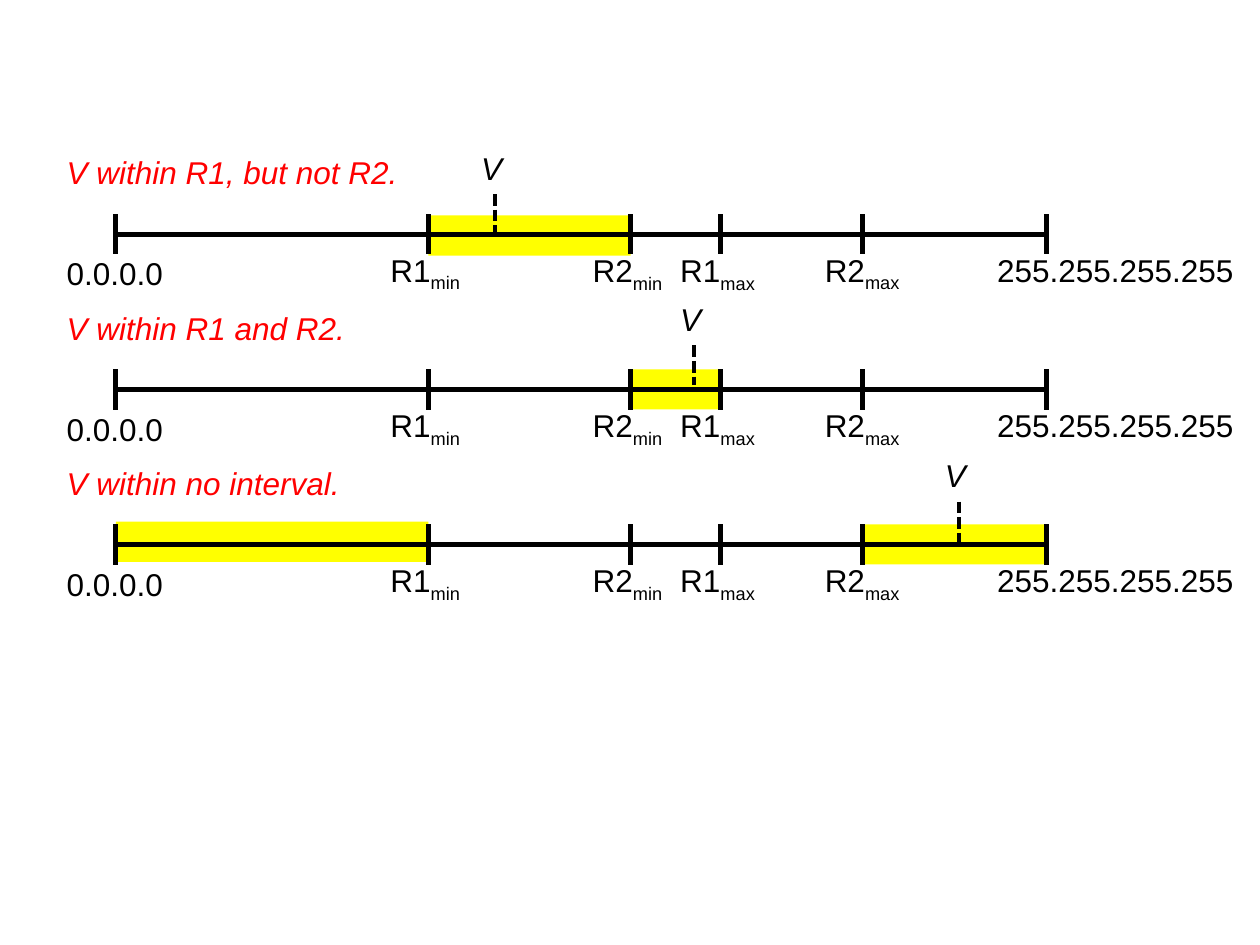
from lxml.etree import SubElement
from pptx import Presentation
from pptx.dml.color import RGBColor
from pptx.enum.dml import MSO_LINE_DASH_STYLE as Dash
from pptx.enum.shapes import MSO_CONNECTOR as Connector, MSO_SHAPE as Shape
from pptx.enum.text import MSO_AUTO_SIZE as AutoSize
from pptx.oxml.ns import qn
from pptx.util import Pt

COLORS = {"ink": "000000", "caption": "FF0000", "highlight": "FFFF00"}

# Tick: (offset along the axis, label, subscript, label shift, label drop, label width)
TICKS = {
    "start": (0, "0.0.0.0", "", -35.2, 8, 70),
    "r1_min": (178.6, "R1", "min", -28.8, 5.8, 57.6),
    "r2_min": (294.2, "R2", "min", -28.8, 6, 57.6),
    "r1_max": (345.6, "R1", "max", -30.2, 6, 61.2),
    "r2_max": (426.8, "R2", "max", -28.8, 5.8, 61.2),
    "end": (531.7, "255.255.255.255", "", -35.2, 5.8, 151.2),
}

# Case: (caption, caption width, highlights as (from, to, rise), V offset, V rise)
CASES = [
    ("V within R1, but not R2.", 208, [("r1_min", "r2_min", -0.7)], 216.7, 0),
    ("V within R1 and R2.", 178, [("r2_min", "r1_max", 0)], 330.5, 2.2),
    ("V within no interval.", 175,
     [("start", "r1_min", 1.5), ("r2_max", "end", 0)], 481.7, 1.4),
]

AXIS_LEFT, FIRST_AXIS, CASE_PITCH = 66.2, 133.9, 88.6
TICK_HEIGHT = 23
LABEL_HEIGHT = 28.8


def rgb(name):
    return RGBColor.from_string(COLORS[name])


def add_line(slide, x1, y1, x2, y2, width=3, dash=None):
    line = slide.shapes.add_connector(Connector.STRAIGHT, Pt(x1), Pt(y1), Pt(x2), Pt(y2))
    line.line.color.rgb = rgb("ink")
    line.line.width = Pt(width)
    if dash:
        line.line.dash_style = dash
    SubElement(line._element.spPr, qn("a:effectLst"))


def add_label(slide, left, top, width, text, subscript="", color="ink", italic=False):
    box = slide.shapes.add_textbox(Pt(left), Pt(top), Pt(width), Pt(LABEL_HEIGHT))
    box.text_frame.word_wrap = False
    box.text_frame.auto_size = AutoSize.SHAPE_TO_FIT_TEXT
    paragraph = box.text_frame.paragraphs[0]
    paragraph.font.name = "Arial"
    paragraph.font.size = Pt(18)
    paragraph.font.italic = italic
    paragraph.font.color.rgb = rgb(color)
    paragraph.add_run().text = text
    if subscript:
        run = paragraph.add_run()
        run.text = subscript
        run.font._element.set("baseline", "-25000")


def add_highlight(slide, left, top, width):
    shape = slide.shapes.add_shape(Shape.RECTANGLE, Pt(left), Pt(top), Pt(width), Pt(TICK_HEIGHT))
    shape.shadow.inherit = False
    shape.fill.solid()
    shape.fill.fore_color.rgb = rgb("highlight")
    shape.line.fill.background()


def add_case(slide, left, axis, case):
    caption, caption_width, highlights, v_offset, v_rise = case
    tick_top = axis - TICK_HEIGHT / 2

    # Highlighted intervals
    for first, last, rise in highlights:
        start, end = TICKS[first][0], TICKS[last][0]
        add_highlight(slide, left + start, tick_top - rise, end - start)

    # Address axis with ticks and labels
    add_line(slide, left, axis, left + TICKS["end"][0], axis)
    for offset, text, subscript, shift, drop, width in TICKS.values():
        x = left + offset
        add_line(slide, x, tick_top, x, tick_top + TICK_HEIGHT)
        add_label(slide, x + shift, axis + drop, width, text, subscript)

    # Value marker
    x, bottom = left + v_offset, axis - v_rise
    add_line(slide, x, bottom - TICK_HEIGHT, x, bottom, 2.25, Dash.SQUARE_DOT)
    add_label(slide, x - 15.1, bottom - 52.4, 30.2, "V", italic=True)

    # Caption
    add_label(slide, left - 35.2, axis - 49.7, caption_width, caption,
              color="caption", italic=True)


def main():
    presentation = Presentation()
    presentation.slide_width, presentation.slide_height = Pt(720), Pt(540)
    slide = presentation.slides.add_slide(presentation.slide_layouts[6])
    for index, case in enumerate(CASES):
        add_case(slide, AXIS_LEFT, FIRST_AXIS + index * CASE_PITCH, case)
    presentation.save("out.pptx")


if __name__ == "__main__":
    main()
